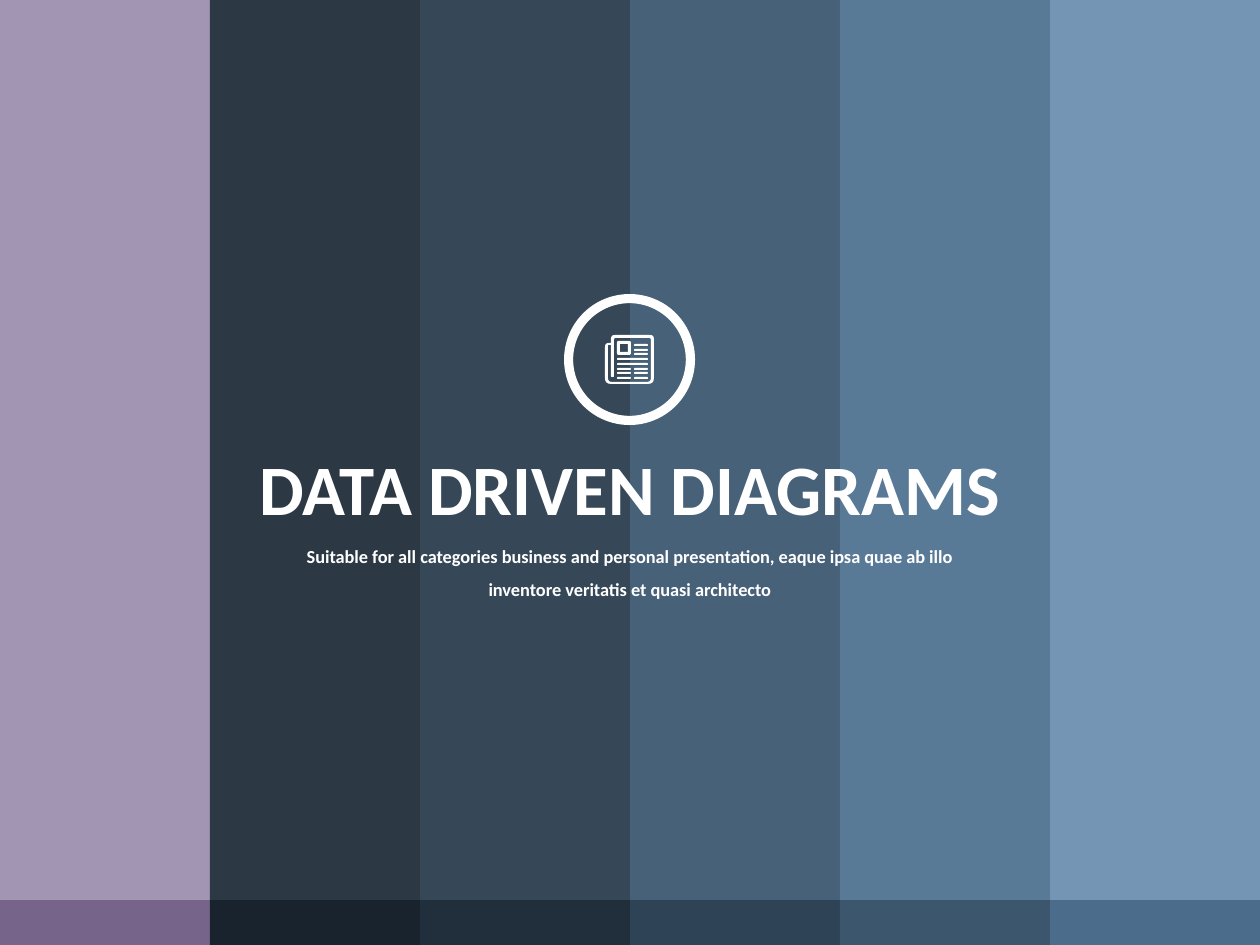
"""Build the section title slide with coloured columns and a newspaper badge."""
from math import dist

from lxml.etree import SubElement
from pptx import Presentation
from pptx.dml.color import RGBColor
from pptx.enum.shapes import MSO_SHAPE
from pptx.enum.text import MSO_AUTO_SIZE, PP_ALIGN
from pptx.oxml.ns import qn
from pptx.util import Emu, Pt

THEME = {
    "columns": ["9E90AF", "212F3C", "2C3F50", "3E5972", "507392", "6D90AF"],
    "footer": ["76648B", "19232D", "212F3C", "2E4356", "3C566E", "4B6C8A"],
    "column_alpha": 95,
    "white": "FFFFFF",
    "font": "Calibri",
    "title": 40.5,
    "subtitle": 10.5,
}
PX = 914400 / 126
W, H = 1260, 945
COLUMN_W, COLUMN_H = W // 6, 900


def add_filled(shapes, kind, box, color):
    sp = shapes.add_shape(kind, *(Emu(round(v * PX)) for v in box))
    sp.shadow.inherit = False
    sp.fill.solid()
    sp.fill.fore_color.rgb = RGBColor.from_string(color)
    sp.line.fill.background()
    return sp


def round_corners(corners):
    points = []
    for i, (x, y, r) in enumerate(corners):
        ends = []
        for nx, ny, _ in (corners[i - 1], corners[(i + 1) % len(corners)]):
            k = r / dist((x, y), (nx, ny))
            ends.append((x + (nx - x) * k, y + (ny - y) * k))
        (ax, ay), (bx, by) = ends
        for t in (0, 0.25, 0.5, 0.75, 1) if r else (0,):
            a, c, b = (1 - t) ** 2, 2 * t * (1 - t), t ** 2
            points.append((round((a * ax + c * x + b * bx) * PX),
                           round((a * ay + c * y + b * by) * PX)))
    return points


prs = Presentation()
prs.slide_width, prs.slide_height = Emu(round(W * PX)), Emu(round(H * PX))
s = prs.slides.add_slide(prs.slide_layouts[6])

for i, color in enumerate(THEME["columns"]):
    sp = add_filled(s.shapes, MSO_SHAPE.RECTANGLE,
                    (i * COLUMN_W, 0, COLUMN_W, COLUMN_H), color)
    clr = sp.fill._xPr.find(qn("a:solidFill"))[0]
    SubElement(clr, qn("a:alpha"), val=str(THEME["column_alpha"] * 1000))

footer = s.shapes.add_group_shape()
for i, color in enumerate(THEME["footer"]):
    add_filled(footer.shapes, MSO_SHAPE.RECTANGLE,
               (i * COLUMN_W, COLUMN_H, COLUMN_W, H - COLUMN_H), color)

texts = [
    ("DATA DRIVEN DIAGRAMS", (244, 438, 772, 98), "title", False, 1),
    ("Suitable for all categories business and personal presentation, "
     "eaque ipsa quae ab illo inventore veritatis et quasi architecto",
     (276, 528, 708, 79), "subtitle", True, 1.5),
]
for text, box, size, wrap, spacing in texts:
    tf = s.shapes.add_textbox(*(Emu(round(v * PX)) for v in box)).text_frame
    tf.word_wrap = wrap
    tf.auto_size = MSO_AUTO_SIZE.SHAPE_TO_FIT_TEXT
    tf.text = text
    p = tf.paragraphs[0]
    p.alignment = PP_ALIGN.CENTER
    p.line_spacing = spacing
    r = p.runs[0]
    r.font.name = THEME["font"]
    r.font.size = Pt(THEME[size])
    r.font.bold = True
    r.font.color.rgb = RGBColor.from_string(THEME["white"])

ring = add_filled(s.shapes, MSO_SHAPE.DONUT, (564, 294, 131, 131), THEME["white"])
ring.adjustments[0] = 0.07

newspaper = s.shapes.add_group_shape()
outlines = [
    [[(611, 335, 4), (654, 335, 4), (654, 384, 6), (605, 384, 6),
      (605, 343, 4), (611, 343, 0)],
     [(614, 338, 2), (651, 338, 2), (651, 382, 4), (608, 382, 4),
      (608, 345, 1), (611, 345, 0), (611, 377, 1), (614, 377, 1)]],
    [[(617, 341, 2), (631, 341, 2), (631, 355, 2), (617, 355, 2)],
     [(620, 344, 0), (628, 344, 0), (628, 352, 0), (620, 352, 0)]],
]
for contours in outlines:
    outer, inner = (round_corners(c) for c in contours)
    fb = newspaper.shapes.build_freeform(*outer[0])
    fb.add_line_segments(outer[1:])
    fb.move_to(*inner[0])
    fb.add_line_segments(inner[1:])
    sp = fb.convert_to_shape()
    sp.shadow.inherit = False
    sp.fill.solid()
    sp.fill.fore_color.rgb = RGBColor.from_string(THEME["white"])
    sp.line.fill.background()

LEFT, RIGHT, HALF, FULL = 617, 634, 14, 31
text_lines = [(RIGHT, y, HALF) for y in (344, 349, 353)]
text_lines += [(LEFT, y, FULL) for y in (358, 363)]
text_lines += [(x, y, HALF) for x in (LEFT, RIGHT) for y in (368, 372, 377)]
for x, y, width in text_lines:
    sp = add_filled(newspaper.shapes, MSO_SHAPE.ROUNDED_RECTANGLE,
                    (x, y, width, 2), THEME["white"])
    sp.adjustments[0] = 0.5

prs.save("out.pptx")
